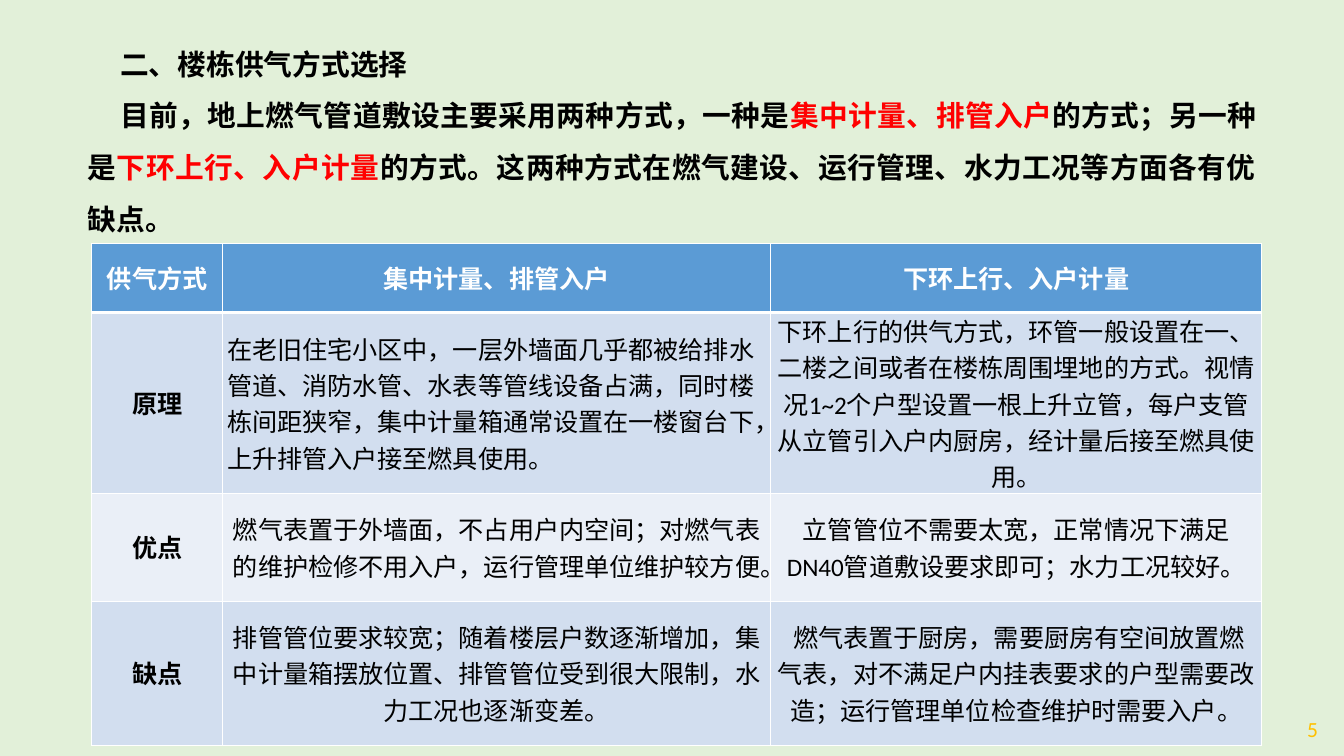
from dataclasses import dataclass

from lxml.etree import SubElement
from pptx import Presentation
from pptx.dml.color import RGBColor
from pptx.enum.text import MSO_ANCHOR, MSO_AUTO_SIZE, PP_ALIGN
from pptx.oxml.ns import qn
from pptx.util import Cm, Pt

CHINESE_FONT = "Noto Sans CJK SC"
BLACK, WHITE, RED, GOLD = "000000", "FFFFFF", "FF0000", "FFC000"
PALE_GREEN, HEADER_BLUE = "E2F0D9", "5B9BD5"
DARK_BAND, LIGHT_BAND = "D2DEEF", "EAEFF7"


@dataclass
class Row:
    height: float
    fill: str
    texts: tuple[str, str, str]


COLUMN_WIDTHS = (5.13, 21.54, 19.3)
ROWS = (
    Row(2.72, HEADER_BLUE, ("供气方式", "集中计量、排管入户", "下环上行、入户计量")),
    Row(7.09, DARK_BAND, (
        "原理",
        "在老旧住宅小区中，一层外墙面几乎都被给排水管道、消防水管、水表等管线设备占满，"
        "同时楼栋间距狭窄，集中计量箱通常设置在一楼窗台下，上升排管入户接至燃具使用。",
        "下环上行的供气方式，环管一般设置在一、二楼之间或者在楼栋周围埋地的方式。"
        "视情况1~2个户型设置一根上升立管，每户支管从立管引入户内厨房，经计量后接至燃具使用。",
    )),
    Row(4.24, LIGHT_BAND, (
        "优点",
        "燃气表置于外墙面，不占用户内空间；对燃气表的维护检修不用入户，运行管理单位维护较方便。",
        "立管管位不需要太宽，正常情况下满足DN40管道敷设要求即可；水力工况较好。",
    )),
    Row(5.66, DARK_BAND, (
        "缺点",
        "排管管位要求较宽；随着楼层户数逐渐增加，集中计量箱摆放位置、排管管位受到很大限制，"
        "水力工况也逐渐变差。",
        " 燃气表置于厨房，需要厨房有空间放置燃气表，对不满足户内挂表要求的户型需要改造；"
        "运行管理单位检查维护时需要入户。",
    )),
)
INTRODUCTION = (
    (("二、楼栋供气方式选择", BLACK),),
    (
        ("目前，地上燃气管道敷设主要采用两种方式，一种是", BLACK),
        ("集中计量、排管入户", RED),
        ("的方式；另一种是", BLACK),
        ("下环上行、入户计量", RED),
        ("的方式。这两种方式在燃气建设、运行管理、水力工况等方面各有优缺点。", BLACK),
    ),
)


def rgb(color: str) -> RGBColor:
    return RGBColor.from_string(color)


def add_span(para, text: str, *, size: float, color: str, font: str = "Calibri",
             bold: bool = False) -> None:
    span = para.add_run()
    span.text = text
    span.font.size = Pt(size)
    span.font.bold = bold
    span.font.color.rgb = rgb(color)
    span.font.name = font
    SubElement(span._r.get_or_add_rPr(), qn("a:ea"), typeface=CHINESE_FONT)


def add_text_frame(page, left: float, top: float, width: float, height: float):
    box = page.shapes.add_textbox(Cm(left), Cm(top), Cm(width), Cm(height))
    frame = box.text_frame
    frame.word_wrap = True
    frame.auto_size = MSO_AUTO_SIZE.SHAPE_TO_FIT_TEXT
    return frame


def add_introduction(page) -> None:
    frame = add_text_frame(page, 3.2, 1.02, 46.41, 12.57)
    for index, spans in enumerate(INTRODUCTION):
        para = frame.add_paragraph() if index else frame.paragraphs[0]
        para.alignment = PP_ALIGN.JUSTIFY
        para.line_spacing = 1.5
        para._p.get_or_add_pPr().set("indent", str(Cm(1.27)))
        for text, color in spans:
            add_span(para, text, size=32, color=color, font=CHINESE_FONT, bold=True)


def add_border(cell, side: str, width: float) -> None:
    line = SubElement(cell._tc.get_or_add_tcPr(), qn(f"a:ln{side}"), w=str(Pt(width)))
    SubElement(SubElement(line, qn("a:solidFill")), qn("a:srgbClr"), val=WHITE)


def format_cell(cell, row_index: int, column_index: int) -> None:
    row = ROWS[row_index]
    is_header, is_label = row_index == 0, column_index == 0
    cell.margin_left = cell.margin_right = Cm(0.18)
    cell.margin_top = cell.margin_bottom = 0
    cell.vertical_anchor = MSO_ANCHOR.MIDDLE
    thick_side = {0: "B", 1: "T"}.get(row_index)
    for side in "LRTB":
        add_border(cell, side, 3 if side == thick_side else 1)
    cell.fill.solid()
    cell.fill.fore_color.rgb = rgb(row.fill)
    para = cell.text_frame.paragraphs[0]
    left_aligned = (row_index, column_index) == (1, 1)
    para.alignment = PP_ALIGN.LEFT if left_aligned else PP_ALIGN.CENTER
    add_span(para, row.texts[column_index], size=28,
             color=WHITE if is_header else BLACK,
             font="Times New Roman" if is_label and not is_header else "Calibri",
             bold=is_header or is_label)


def add_comparison_table(page) -> None:
    table = page.shapes.add_table(
        len(ROWS), len(COLUMN_WIDTHS), Cm(3.61), Cm(9.55),
        Cm(sum(COLUMN_WIDTHS)), Cm(sum(row.height for row in ROWS))).table
    for column, width in zip(table.columns, COLUMN_WIDTHS):
        column.width = Cm(width)
    for row_index, row in enumerate(ROWS):
        table.rows[row_index].height = Cm(row.height)
        for column_index in range(len(COLUMN_WIDTHS)):
            format_cell(table.cell(row_index, column_index), row_index, column_index)


def add_page_number(page) -> None:
    para = add_text_frame(page, 50.85, 27.99, 1.45, 1.3).paragraphs[0]
    para.alignment = PP_ALIGN.CENTER
    add_span(para, "5", size=24, color=GOLD)


def main() -> None:
    deck = Presentation()
    deck.slide_width, deck.slide_height = Cm(52.81), Cm(29.69)
    page = deck.slides.add_slide(deck.slide_layouts[6])
    page.background.fill.solid()
    page.background.fill.fore_color.rgb = rgb(PALE_GREEN)
    add_page_number(page)
    add_introduction(page)
    add_comparison_table(page)
    deck.save("out.pptx")


if __name__ == "__main__":
    main()
